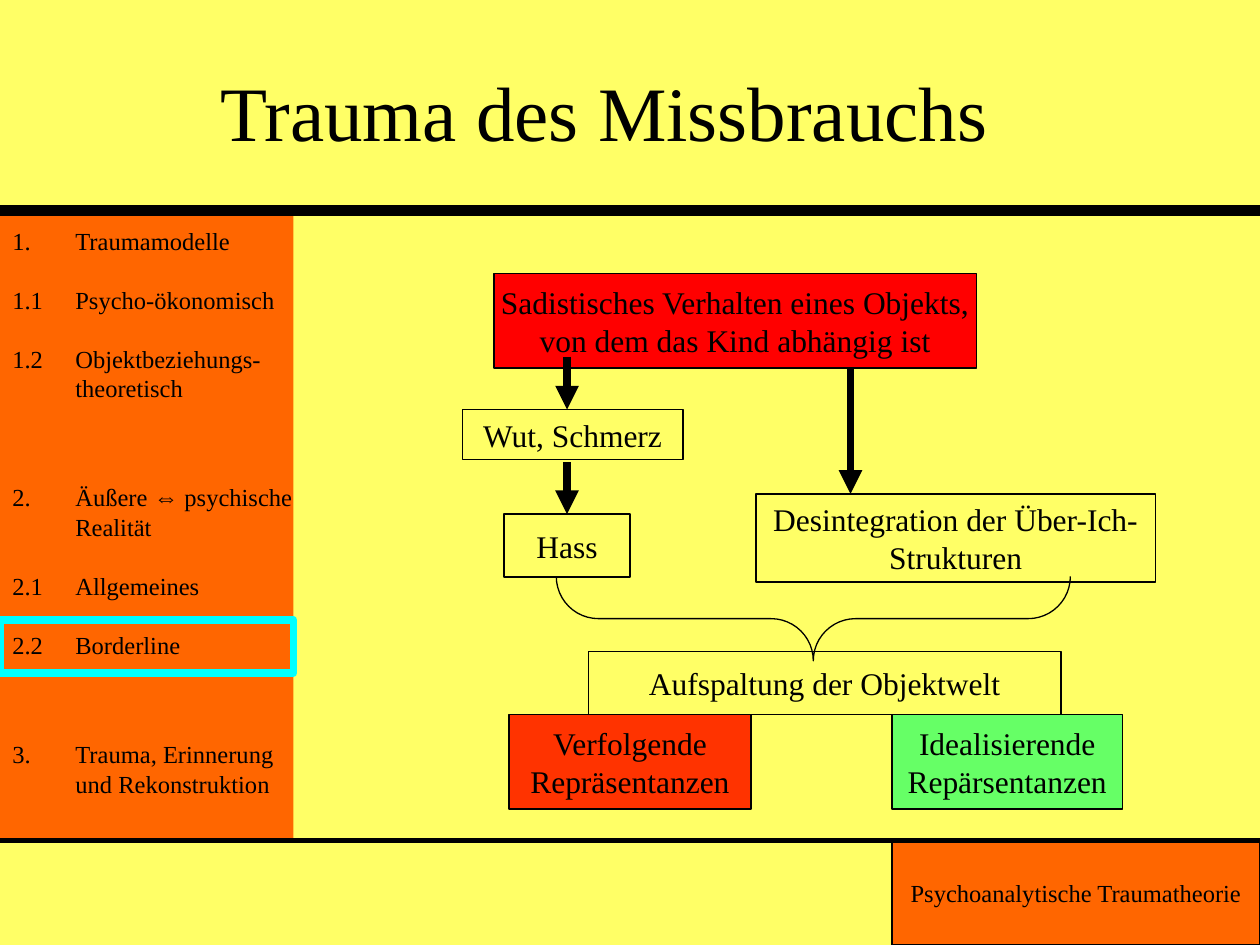
from pptx import Presentation
from pptx import util as u
from pptx.dml.color import RGBColor
from pptx.enum import shapes, text
from pptx.oxml import ns, xmlchemy

BLACK = RGBColor(0x00, 0x00, 0x00)
YELLOW = RGBColor(0xFF, 0xFF, 0x66)
ORANGE = RGBColor(0xFF, 0x66, 0x00)
CYAN = RGBColor(0x00, 0xFF, 0xFF)
RED = RGBColor(0xFF, 0x00, 0x00)
SCARLET = RGBColor(0xFF, 0x33, 0x00)
GREEN = RGBColor(0x66, 0xFF, 0x66)

SERIF = "Times New Roman"
ONE_LINE, SECTION_GAP = 17, 45.5

# (space before in points, number, heading)
OUTLINE = [
    (0, "1.", "Traumamodelle"),
    (ONE_LINE, "1.1", "Psycho-ökonomisch"),
    (ONE_LINE, "1.2", "Objektbeziehungs-\vtheoretisch"),
    (SECTION_GAP, "2.", "Äußere ⇔ psychische\vRealität"),
    (ONE_LINE, "2.1", "Allgemeines"),
    (ONE_LINE, "2.2", "Borderline"),
    (SECTION_GAP, "3.", "Trauma, Erinnerung\vund Rekonstruktion"),
]

# (left, top, width, height, fill, wording), relative to the diagram
CAUSES = [
    (0.25, 0, 3.83, 0.75, RED,
     "Sadistisches Verhalten eines Objekts,\nvon dem das Kind abhängig ist"),
    (0, 1.08, 1.75, 0.4, None, "Wut, Schmerz"),
    (0.33, 1.91, 1, 0.5, None, "Hass"),
    (2.33, 1.75, 3.17, 0.7, None, "Desintegration der Über-Ich-\vStrukturen"),
]
RESULTS = [
    (1, 3, 3.75, 0.5, None, "Aufspaltung der Objektwelt"),
    (0.37, 3.5, 1.92, 0.75, SCARLET, "Verfolgende\nRepräsentanzen"),
    (3.41, 3.5, 1.83, 0.75, GREEN, "Idealisierende\nRepärsentanzen"),
]
# (x, top, bottom)
ARROWS = [(0.83, 0.66, 1.08), (0.83, 1.5, 1.91), (3.08, 0.75, 1.75)]


def apply(target, formats):
    for name, value in formats.items():
        setattr(target, name, value)


def add_box(slide, box, fill=None, line=BLACK, weight=0.75,
            kind=shapes.MSO_SHAPE.RECTANGLE):
    shape = slide.shapes.add_shape(kind, *map(u.Inches, box))
    shape.shadow.inherit = False
    if fill is None:
        shape.fill.background()
    else:
        shape.fill.solid()
        shape.fill.fore_color.rgb = fill
    if line is None:
        shape.line.fill.background()
    else:
        shape.line.color.rgb = line
        shape.line.width = u.Pt(weight)
    return shape


def style_paragraph(paragraph, size, align):
    paragraph.alignment = align
    apply(paragraph.font, {"size": u.Pt(size), "name": SERIF})
    paragraph.font.color.rgb = BLACK
    for run in paragraph.runs:
        apply(run.font, {"size": u.Pt(size), "name": SERIF})
        run.font.color.rgb = BLACK


def write(shape, wording, size, wrap=False):
    frame = shape.text_frame
    apply(frame, {"text": wording, "word_wrap": wrap,
                  "vertical_anchor": text.MSO_ANCHOR.MIDDLE})
    for paragraph in frame.paragraphs:
        style_paragraph(paragraph, size, text.PP_ALIGN.CENTER)


def add_line(slide, start, end, weight, arrow=False):
    line = slide.shapes.add_connector(
        shapes.MSO_CONNECTOR.STRAIGHT, *map(u.Inches, (*start, *end)))
    line.line.color.rgb = BLACK
    line.line.width = u.Pt(weight)
    if arrow:
        head = xmlchemy.OxmlElement("a:tailEnd")
        head.set("type", "triangle")
        line.line._get_or_add_ln().append(head)
    line._element.spPr.append(xmlchemy.OxmlElement("a:effectLst"))


def add_title(slide, box):
    write(slide.shapes.add_textbox(*map(u.Inches, box)),
          "Trauma des Missbrauchs", 44, wrap=True)


def add_sidebar(slide, box):
    """Outline of the lecture with the current section framed."""
    left, top, width, _ = box
    frame = add_box(slide, box, ORANGE, None).text_frame
    apply(frame, {"word_wrap": False, "margin_top": u.Inches(0.12),
                  "vertical_anchor": text.MSO_ANCHOR.TOP})
    for index, (gap, number, heading) in enumerate(OUTLINE):
        entry = frame.add_paragraph() if index else frame.paragraphs[0]
        before, arrow, after = heading.partition("⇔")
        entry.text = f"{number}\t{before}"
        if arrow:
            symbol = entry.add_run()
            symbol.text = arrow
            first, _, second = after.partition("\v")
            entry.add_run().text = first
            entry.add_line_break()
            entry.add_run().text = second
        entry.space_before = u.Pt(gap)
        style_paragraph(entry, 14, text.PP_ALIGN.LEFT)
        if arrow:
            symbol.font.name = "Arial"
        hanging = entry._p.get_or_add_pPr()
        hanging.set("marL", str(u.Inches(0.5)))
        hanging.set("indent", str(-u.Inches(0.5)))
        for line_break in entry._p.findall(ns.qn("a:br")):
            line_break.get_or_add_rPr().set("sz", "1400") if hasattr(
                line_break, "get_or_add_rPr") else line_break.append(
                xmlchemy.OxmlElement("a:rPr"))
            line_break.find(ns.qn("a:rPr")).set("sz", "1400")
    add_box(slide, (left, top + 3.25, width, 0.42), line=CYAN, weight=4.5)


def add_footer(slide, box):
    write(add_box(slide, box, ORANGE), "Psychoanalytische Traumatheorie", 14)


def add_diagram(slide, left, top):
    def add_nodes(nodes):
        for x, y, width, height, fill, wording in nodes:
            node = add_box(slide, (left + x, top + y, width, height), fill)
            write(node, wording, 18)

    add_nodes(CAUSES)
    for x, start, end in ARROWS:
        add_line(slide, (left + x, top + start), (left + x, top + end), 4.5, True)
    brace = add_box(slide, (left + 2.45, top + 0.7, 0.67, 4.08),
                    kind=shapes.MSO_SHAPE.LEFT_BRACE)
    brace.rotation = 270
    brace.adjustments[0] = 0.5
    add_nodes(RESULTS)


def main():
    deck = Presentation()
    apply(deck, {"slide_width": u.Inches(10), "slide_height": u.Inches(7.5)})
    slide = deck.slides.add_slide(deck.slide_layouts[6])
    slide.background.fill.solid()
    slide.background.fill.fore_color.rgb = YELLOW
    add_sidebar(slide, (0, 1.67, 2.33, 5))
    add_footer(slide, (7.08, 6.67, 2.92, 0.83))
    for y, weight in ((6.67, 3), (1.67, 6)):
        add_line(slide, (0, y), (10, y), weight)
    add_title(slide, (0.42, 0.25, 8.75, 1.25))
    add_diagram(slide, 3.67, 2.17)
    deck.save("out.pptx")


if __name__ == "__main__":
    main()
